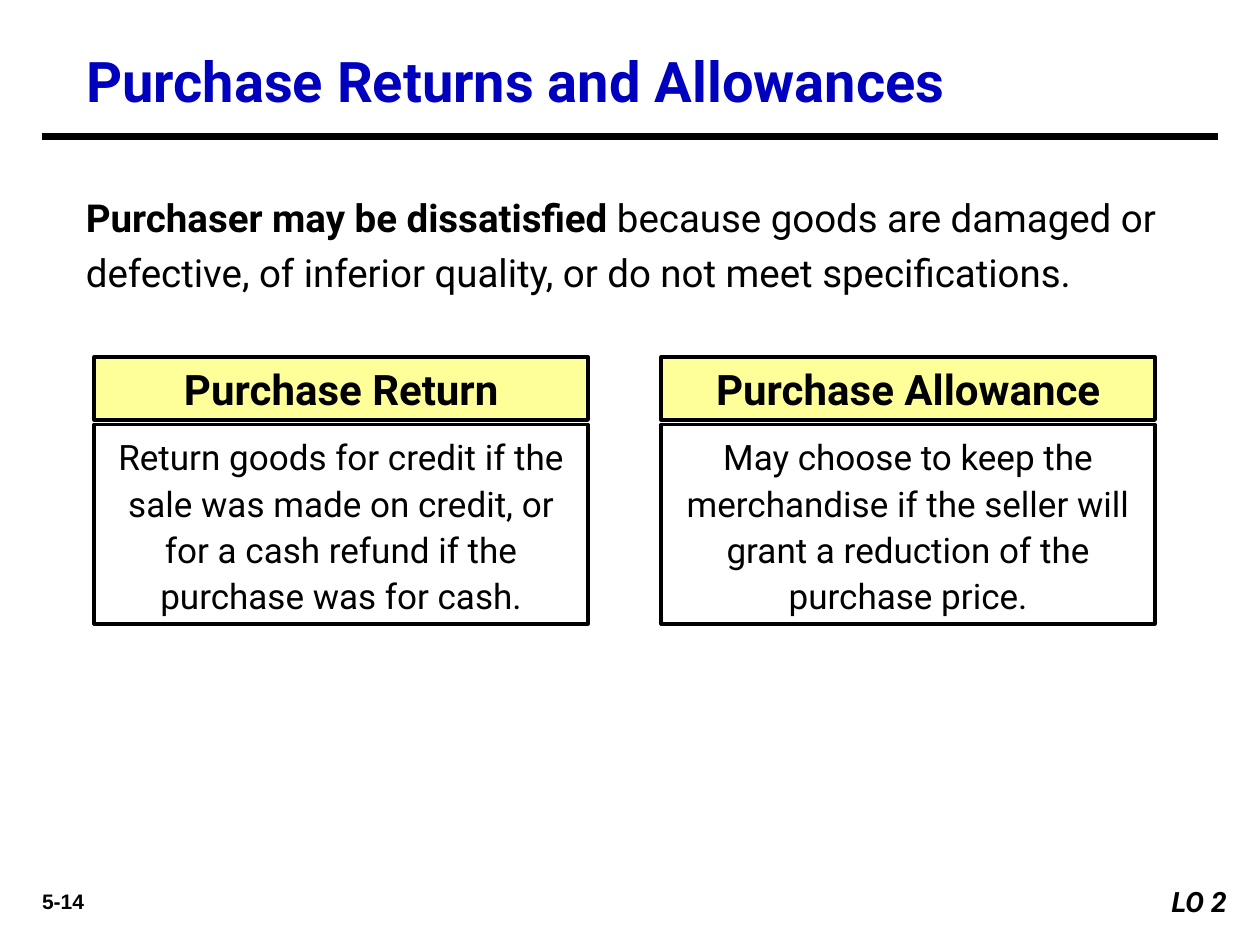
import pptx
import pptx.util
from pptx.dml.color import RGBColor
from pptx.enum.shapes import MSO_CONNECTOR, MSO_SHAPE
from pptx.enum.text import MSO_ANCHOR, PP_ALIGN
from pptx.oxml import parse_xml
from pptx.oxml.ns import nsdecls

Pt = pptx.util.Pt

TITLE = "Purchase Returns and Allowances"
INTRO = [
    ("Purchaser may be dissatisfied", True),
    (" because goods are damaged or defective, of inferior quality, "
     "or do not meet specifications.", False),
]
OPTIONS = [
    ("Purchase Return",
     "Return goods for credit if the sale was made on credit, "
     "or for a cash refund if the purchase was for cash."),
    ("Purchase Allowance",
     "May choose to keep the merchandise if the seller will "
     "grant a reduction of the purchase price."),
]
PAGE_NUMBER = "5-14"
OBJECTIVE = "LO 2"

BLACK, WHITE, BLUE, YELLOW = "000000", "FFFFFF", "0000BF", "FFFF99"
OPTION_LEFT, OPTION_WIDTH, OPTION_STEP = 54, 282, 324
HEADING_TOP, HEADING_HEIGHT = 204, 36
DETAIL_TOP, DETAIL_HEIGHT = 242.6, 113.8


def color(hex_string):
    return RGBColor.from_string(hex_string)


def write(shape, runs, size, align=PP_ALIGN.LEFT, ink=BLACK, font="Roboto",
          italic=False, spacing=1.0, anchor=MSO_ANCHOR.MIDDLE):
    """Fill a shape with one paragraph of (text, bold) runs."""
    frame = shape.text_frame
    frame.word_wrap = True
    frame.vertical_anchor = anchor
    paragraph = frame.paragraphs[0]
    paragraph.alignment = align
    paragraph.line_spacing = spacing
    for text, bold in runs:
        run = paragraph.add_run()
        run.text = text
        run.font.name = font
        run.font.size = Pt(size)
        run.font.bold = bold
        run.font.italic = italic
        run.font.color.rgb = color(ink)


def add_box(slide, left, top, width, height, fill=None, outlined=True):
    box = slide.shapes.add_shape(MSO_SHAPE.RECTANGLE, Pt(left), Pt(top),
                                 Pt(width), Pt(height))
    box.shadow.inherit = False
    if fill:
        box.fill.solid()
        box.fill.fore_color.rgb = color(fill)
    else:
        box.fill.background()
    if outlined:
        box.line.color.rgb = color(BLACK)
        box.line.width = Pt(2.25)
    else:
        box.line.fill.background()
    return box


def add_text_area(slide, left, top, width, height):
    return slide.shapes.add_textbox(Pt(left), Pt(top), Pt(width), Pt(height))


def main():
    deck = pptx.Presentation()
    deck.slide_width, deck.slide_height = Pt(720), Pt(540)
    slide = deck.slides.add_slide(deck.slide_layouts.get_by_name("Title Only"))

    title = slide.shapes.title
    title.left, title.top, title.width, title.height = Pt(42), Pt(24), Pt(600), Pt(44)
    write(title, [(TITLE, True)], 32, ink=BLUE)

    rule = slide.shapes.add_connector(MSO_CONNECTOR.STRAIGHT,
                                      Pt(24), Pt(78), Pt(696), Pt(78))
    rule.line.color.rgb = color(BLACK)
    rule.line.width = Pt(4.5)
    rule._element.spPr.append(parse_xml(f"<a:effectLst {nsdecls('a')}/>"))

    intro = add_text_area(slide, 42, 102, 642, 71)
    write(intro, INTRO, 22, spacing=1.2, anchor=MSO_ANCHOR.TOP)

    for column, (heading, detail) in enumerate(OPTIONS):
        left = OPTION_LEFT + column * OPTION_STEP
        detail_box = add_box(slide, left, DETAIL_TOP, OPTION_WIDTH, DETAIL_HEIGHT)
        write(detail_box, [(detail, False)], 20, PP_ALIGN.CENTER, spacing=1.1)
        heading_box = add_box(slide, left, HEADING_TOP, OPTION_WIDTH,
                              HEADING_HEIGHT, YELLOW)
        write(heading_box, [(heading, True)], 24, PP_ALIGN.CENTER)

    page_number = add_text_area(slide, 6, 504, 60, 22)
    write(page_number, [(PAGE_NUMBER, True)], 12, PP_ALIGN.CENTER, font="Arial")

    objective = add_box(slide, 648, 502, 60, 26.5, WHITE, outlined=False)
    write(objective, [(OBJECTIVE, True)], 16, PP_ALIGN.RIGHT, italic=True)

    deck.save("out.pptx")


if __name__ == "__main__":
    main()
